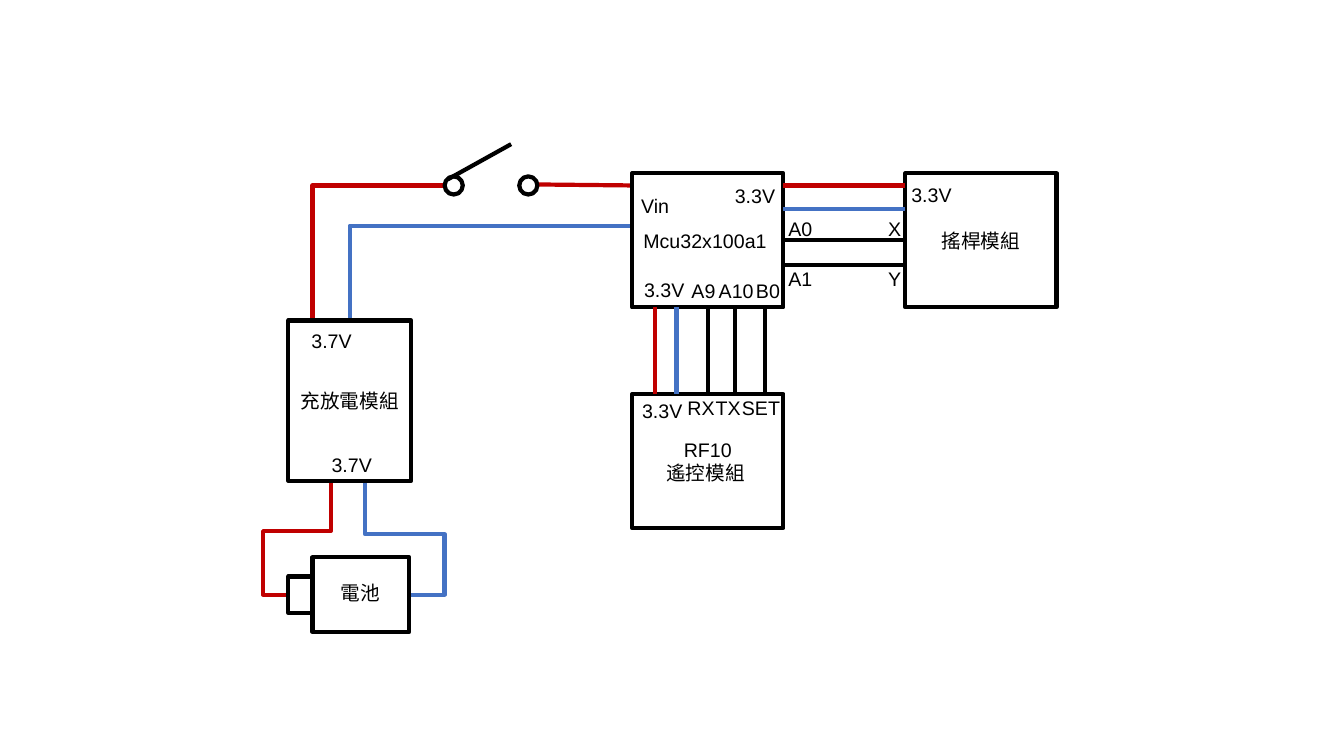
"""Draws the wiring plan of a battery powered remote control."""
import pptx
import pptx.dml.color
import pptx.enum.shapes
import pptx.enum.text
import pptx.oxml
import pptx.oxml.ns
import pptx.util

PX = 9144
INK = {"red": "C00000", "blue": "4472C4", "black": "000000"}
KIND = pptx.enum.shapes.MSO_SHAPE
WIRE = pptx.enum.shapes.MSO_CONNECTOR
BOTTOM, RIGHT, TOP, LEFT = 2, 3, 0, 1


def px(*nums):
    return [round(num * PX) for num in nums]


def tint(name):
    return pptx.dml.color.RGBColor.from_string(INK[name])


def write(para, text):
    run = para.add_run()
    run.text = text
    run.font.size = pptx.util.Pt(14)
    run.font.name = "Arial"
    run.font.color.rgb = tint("black")


def stroke(line, name):
    line.color.rgb = tint(name)
    line.width = pptx.util.Pt(3)


def box(host, place, lines=(), kind=KIND.RECTANGLE):
    shape = host.add_shape(kind, *px(*place))
    shape.shadow.inherit = False
    shape.fill.background()
    stroke(shape.line, "black")
    frame = shape.text_frame
    frame.vertical_anchor = pptx.enum.text.MSO_ANCHOR.MIDDLE
    for num, text in enumerate(lines):
        para = frame.add_paragraph() if num else frame.paragraphs[0]
        para.alignment = pptx.enum.text.PP_ALIGN.CENTER
        write(para, text)
    return shape


def label(host, text, left, top, width=67):
    frame = host.add_textbox(*px(left, top, width, 34)).text_frame
    frame.word_wrap = True
    write(frame.paragraphs[0], text)


def wire(host, name, start, end, kind=WIRE.STRAIGHT):
    line = host.add_connector(kind, *px(*start, *end))
    stroke(line.line, name)
    props = line.element.spPr
    props.append(pptx.oxml.parse_xml(
        "<a:effectLst %s/>" % pptx.oxml.ns.nsdecls("a")))
    return line


def bend(host, name, start, end, turn=None):
    """Run level first, then upright; turn is the corner of a longer way."""
    line = wire(host, name, start, end, WIRE.ELBOW)
    shape = line.element.spPr.find(pptx.oxml.ns.qn("a:prstGeom"))
    shape.set("prst", "bentConnector4" if turn else "bentConnector2")
    guides = shape.find(pptx.oxml.ns.qn("a:avLst"))
    for num, spot in enumerate(turn or ()):
        part = (spot - start[num]) / (end[num] - start[num])
        guides.append(pptx.oxml.parse_xml(
            '<a:gd %s name="adj%d" fmla="val %d"/>'
            % (pptx.oxml.ns.nsdecls("a"), num + 1, round(part * 100000))))


def join(line, first, side, last, other):
    line.begin_connect(first, side)
    line.end_connect(last, other)


def main():
    deck = pptx.Presentation()
    deck.slide_width, deck.slide_height = px(1333, 750)
    host = deck.slides.add_slide(deck.slide_layouts[6]).shapes

    bend(host, "blue", (627, 224), (347, 318))
    bend(host, "red", (441, 184), (310, 318))
    bend(host, "red", (286, 590), (328, 476), (261, 527))
    bend(host, "blue", (406, 590), (362, 476), (441, 530))
    wire(host, "red", (532, 183), (627, 184))

    box(host, (286, 318, 122, 159), ["充放電模組"])
    chip = box(host, (627, 172, 150, 133), ["Mcu32x100a1 "])
    stick = box(host, (898, 172, 150, 133), ["搖桿模組"])
    radio = box(host, (627, 391, 150, 133), ["RF10", "遙控模組 "])

    cell = host.add_group_shape().shapes
    box(cell, (310, 553, 96, 74))
    box(cell, (286, 572, 24, 36))
    label(cell, "電池", 328, 571)

    switch = host.add_group_shape().shapes
    for left in (441, 515):
        box(switch, (left, 175, 18, 18), kind=KIND.FLOWCHART_CONNECTOR)
    wire(switch, "black", (444, 178), (507, 143))

    for name, y in (("red", 184), ("blue", 207), ("black", 238),
                    ("black", 263)):
        line = wire(host, name, (777, y), (898, y))
        if y == 238:
            join(line, chip, RIGHT, stick, LEFT)
    for name, x in (("red", 650), ("blue", 671), ("black", 702),
                    ("black", 729), ("black", 759)):
        line = wire(host, name, (x, 305), (x, 391))
        if x == 702:
            join(line, chip, BOTTOM, radio, TOP)

    for pin, axis, top in (("A0", "X", 210), ("A1", "Y", 260)):
        label(host, pin, 772, top, 51)
        label(host, axis, 871, top, 35)
    for text, left in (("A9", 676), ("A10", 703), ("B0", 740)):
        label(host, text, left, 272)
    for text, left in (("RX", 672), ("TX", 700), ("SET", 726)):
        label(host, text, left, 388)
    for left, top in ((319, 444), (299, 321)):
        label(host, "3.7V", left, top)
    for left, top in ((627, 391), (894, 177), (719, 178), (629, 271)):
        label(host, "3.3V", left, top)
    label(host, "Vin", 626, 187, 52)
    deck.save("out.pptx")


if __name__ == "__main__":
    main()
